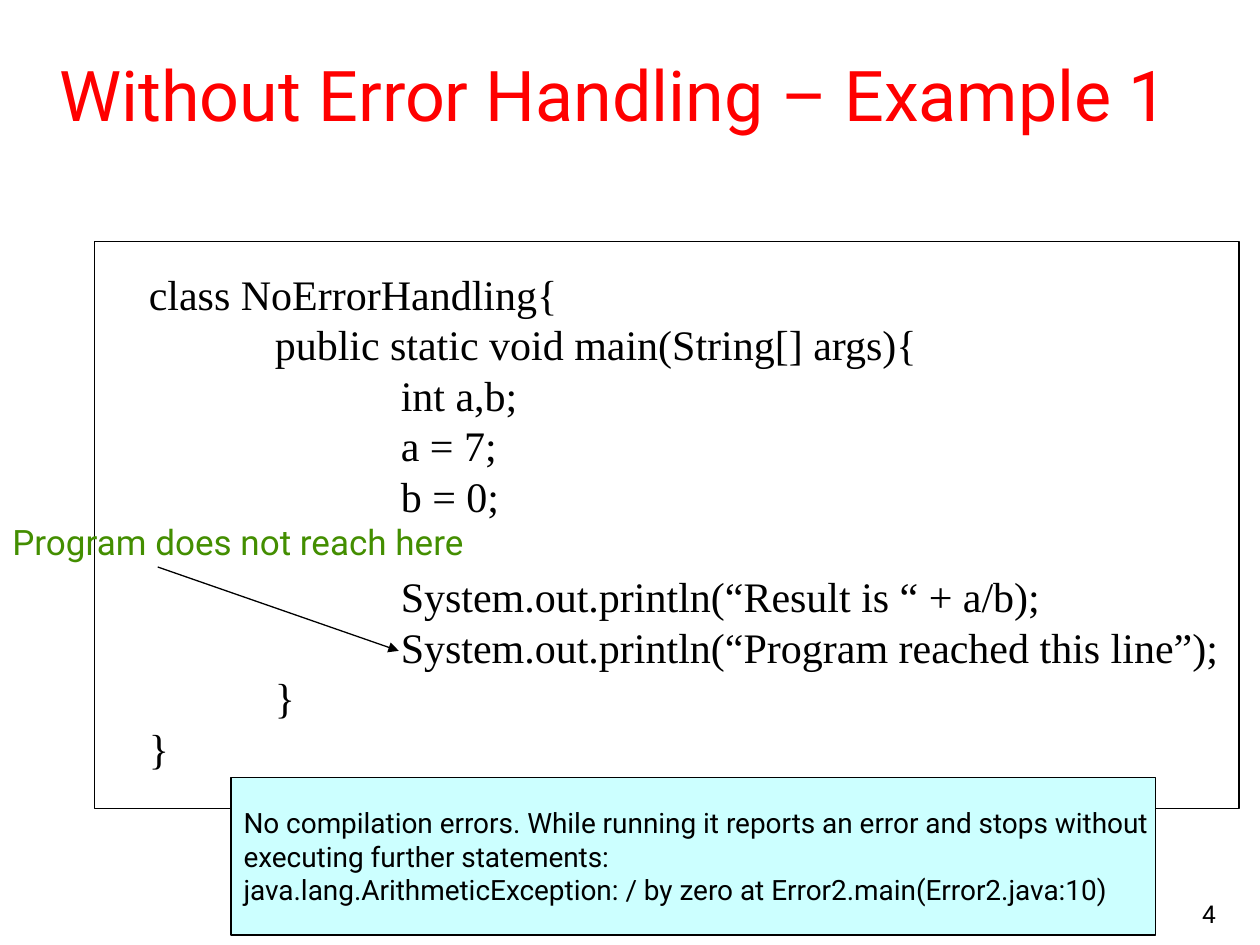
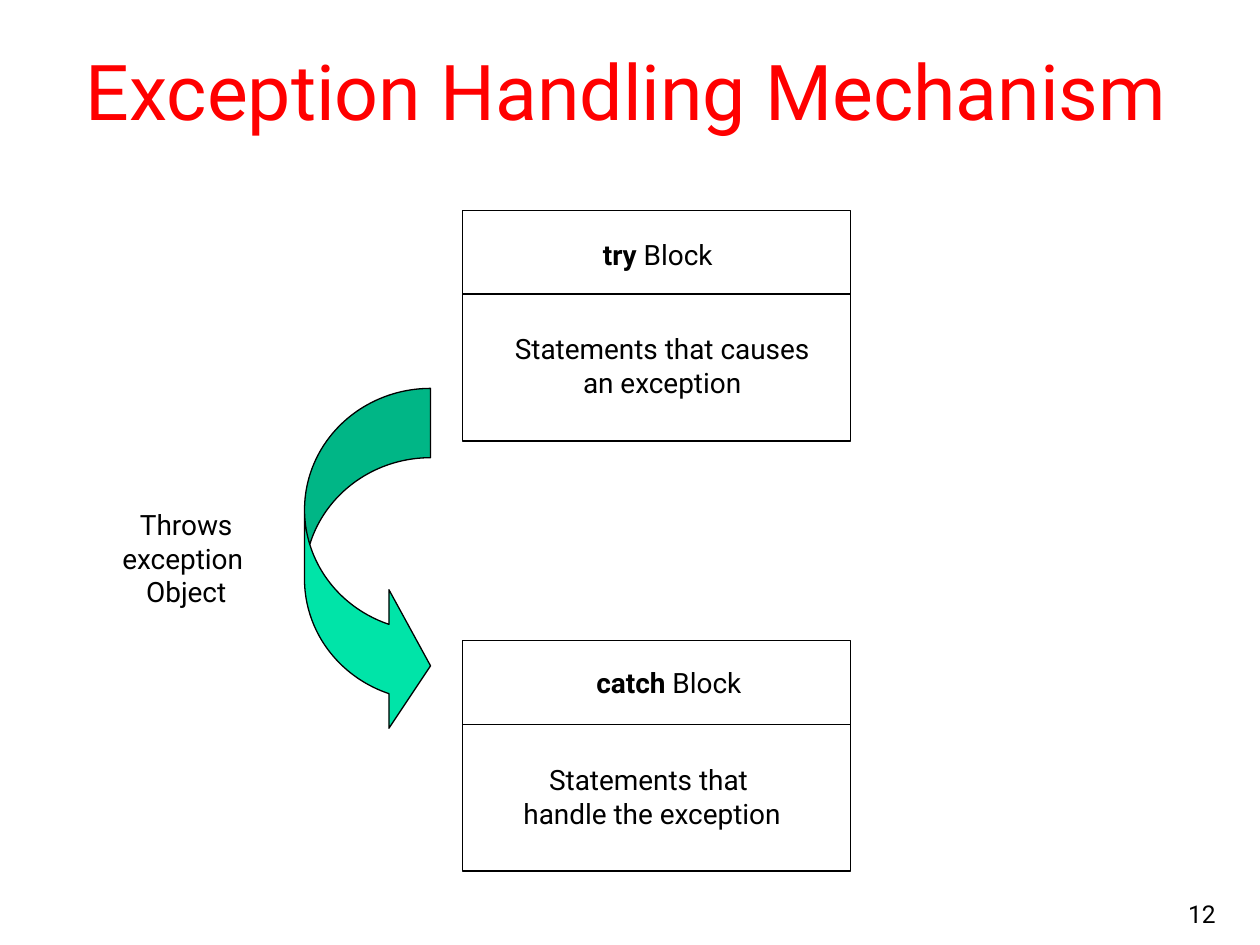
from lxml import etree
from pptx import Presentation
from pptx.dml.color import RGBColor
from pptx.enum.shapes import MSO_CONNECTOR, MSO_SHAPE
from pptx.enum.text import MSO_ANCHOR, MSO_AUTO_SIZE, PP_ALIGN
from pptx.oxml.ns import qn
from pptx.util import Cm, Pt

LEFT, CENTER, RIGHT = PP_ALIGN.LEFT, PP_ALIGN.CENTER, PP_ALIGN.RIGHT
TOP, MIDDLE, BOTTOM = MSO_ANCHOR.TOP, MSO_ANCHOR.MIDDLE, MSO_ANCHOR.BOTTOM
NO_AUTOFIT = MSO_AUTO_SIZE.NONE
STRAIGHT = MSO_CONNECTOR.STRAIGHT
RECTANGLE, CURVED_ARROW = MSO_SHAPE.RECTANGLE, MSO_SHAPE.CURVED_RIGHT_ARROW

COLOURS = {
    "page": "FFFFFF",
    "title": "FF0000",
    "ink": "000000",
    "note": "438E00",
    "message": "CCFFFF",
    "arrow": "00E4A8",
}
SANS, SERIF = "Roboto", "Times New Roman"
TITLE_ONLY = 5
LINE_HEIGHT = 1.2
TAB_STEP = 2.54

CODE = [
    "class NoErrorHandling{",
    "\tpublic static void main(String[] args){",
    "\t\tint a,b;",
    "\t\ta = 7;",
    "\t\tb = 0;",
    "",
    "\t\tSystem.out.println(“Result is “ + a/b);",
    "\t\tSystem.out.println(“Program reached this line”);",
    "\t}",
    "}",
]


def colour(name):
    return RGBColor.from_string(COLOURS[name])


def fill_solid(shape, name):
    shape.fill.solid()
    shape.fill.fore_color.rgb = colour(name)


def add_span(para, text, size, ink="ink", face=SANS, bold=False):
    for index, part in enumerate(text.split("\n")):
        if index:
            para.add_line_break()
        span = para.add_run()
        span.text = part
        span.font.name = face
        span.font.size = Pt(size)
        span.font.bold = bold
        span.font.color.rgb = colour(ink)


def add_tabs(para, count):
    tabs = etree.SubElement(para._p.get_or_add_pPr(), qn("a:tabLst"))
    for step in range(1, count + 1):
        etree.SubElement(tabs, qn("a:tab"), pos=str(Cm(TAB_STEP * step)), algn="l")


def write_lines(frame, lines, size, align=CENTER, ink="ink", face=SANS):
    height = Pt(size * LINE_HEIGHT)
    para, gap = frame.paragraphs[0], 0
    for line in lines:
        if not line:
            gap += height
            continue
        if para.runs:
            para = frame.add_paragraph()
        para.alignment = align
        para.line_spacing = height
        para.space_before = gap
        gap = 0
        spans = [(line, False)] if isinstance(line, str) else line
        depth = spans[0][0].count("\t")
        if depth:
            add_tabs(para, depth)
        for text, bold in spans:
            add_span(para, text, size, ink, face, bold)


def add_text(page, place, lines, size, align=CENTER, anchor=TOP, inset=0.25, **style):
    box = page.shapes.add_textbox(*map(Cm, place))
    frame = box.text_frame
    frame.word_wrap = align != CENTER
    frame.vertical_anchor = anchor
    frame.margin_left = frame.margin_right = Cm(inset)
    write_lines(frame, lines, size, align, **style)


def add_outlined(page, kind, place, fill=None):
    shape = page.shapes.add_shape(kind, *map(Cm, place))
    shape.shadow.inherit = False
    shape.line.color.rgb = colour("ink")
    shape.line.width = Pt(0.75)
    if fill:
        fill_solid(shape, fill)
    else:
        shape.fill.background()
    return shape


def add_arrow(page, start, end):
    arrow = page.shapes.add_connector(STRAIGHT, *map(Cm, start + end))
    arrow.line.color.rgb = colour("ink")
    arrow.line.width = Pt(0.75)
    etree.SubElement(arrow.line._get_or_add_ln(), qn("a:tailEnd"), type="triangle")
    etree.SubElement(arrow._element.spPr, qn("a:effectLst"))


def add_page(deck, title, number, size, left=0.42, top=0.44):
    page = deck.slides.add_slide(deck.slide_layouts[TITLE_ONLY])
    box = page.shapes.title
    box.left, box.top, box.width, box.height = map(Cm, (left, top, 24.43, 2.75))
    fill_solid(box, "page")
    frame = box.text_frame
    frame.auto_size = NO_AUTOFIT
    frame.word_wrap = True
    frame.vertical_anchor = MIDDLE
    para = frame.paragraphs[0]
    para.alignment = CENTER
    add_span(para, title, size, "title")
    add_text(page, (19.47, 17.57, 5.29, 1.27), [number], 14, RIGHT, BOTTOM)
    return page


def add_message(page, place, lines):
    box = add_outlined(page, RECTANGLE, place, "message")
    frame = box.text_frame
    frame.word_wrap = True
    frame.margin_right = 0
    frame.vertical_anchor = MIDDLE
    write_lines(frame, lines, 16, LEFT)


def add_block(page, top, keyword, keyword_place, statements, statements_place):
    left, width, header, body = 9.32, 7.83, 1.69, 2.96
    add_outlined(page, RECTANGLE, (left, top, width, header))
    add_outlined(page, RECTANGLE, (left, top + header, width, body))
    add_text(page, keyword_place, [[(keyword, True), (" Block", False)]], 16)
    add_text(page, statements_place, [statements], 16)


def build_example(deck):
    page = add_page(deck, "Without Error Handling – Example 1", "4", 40, 0.16, 0.52)
    add_text(page, (2.75, 5.29, 22.65, 10.41), CODE, 24, LEFT, face=SERIF)
    add_outlined(page, RECTANGLE, (1.91, 4.87, 23.07, 11.43))
    add_text(page, (0, 10.36, 9.6, 1.12), ["Program does not reach here"], 20,
             inset=0, ink="note")
    add_arrow(page, (3.18, 11.43), (8.04, 13.12))
    add_message(page, (4.66, 15.67, 18.63, 3.18), [
        "No compilation errors. While running it reports an error and stops without\n"
        "executing further statements:",
        "java.lang.ArithmeticException: / by zero at Error2.main(Error2.java:10)",
    ])


def build_mechanism(deck):
    page = add_page(deck, "Exception Handling Mechanism", "12", 44)
    add_block(page, 4.24, "try", (11.81, 4.67, 2.9, 0.93),
              "Statements that causes\nan exception", (10.01, 6.56, 6.68, 1.63))
    add_block(page, 12.91, "catch", (11.68, 13.3, 3.61, 0.93),
              "Statements that \nhandle the exception", (10.11, 15.25, 6.07, 1.63))
    arrow = add_outlined(page, CURVED_ARROW, (6.14, 7.83, 2.54, 6.99), "arrow")
    for index, ratio in enumerate((0.55, 1.1, 0.33)):
        arrow.adjustments[index] = ratio
    add_text(page, (2.14, 10.11, 3.23, 2.29), ["Throws\nexception ", "Object"], 16)


def main():
    deck = Presentation()
    deck.slide_width, deck.slide_height = Cm(25.4), Cm(19.05)
    build_example(deck)
    build_mechanism(deck)
    deck.save("out.pptx")


if __name__ == "__main__":
    main()
